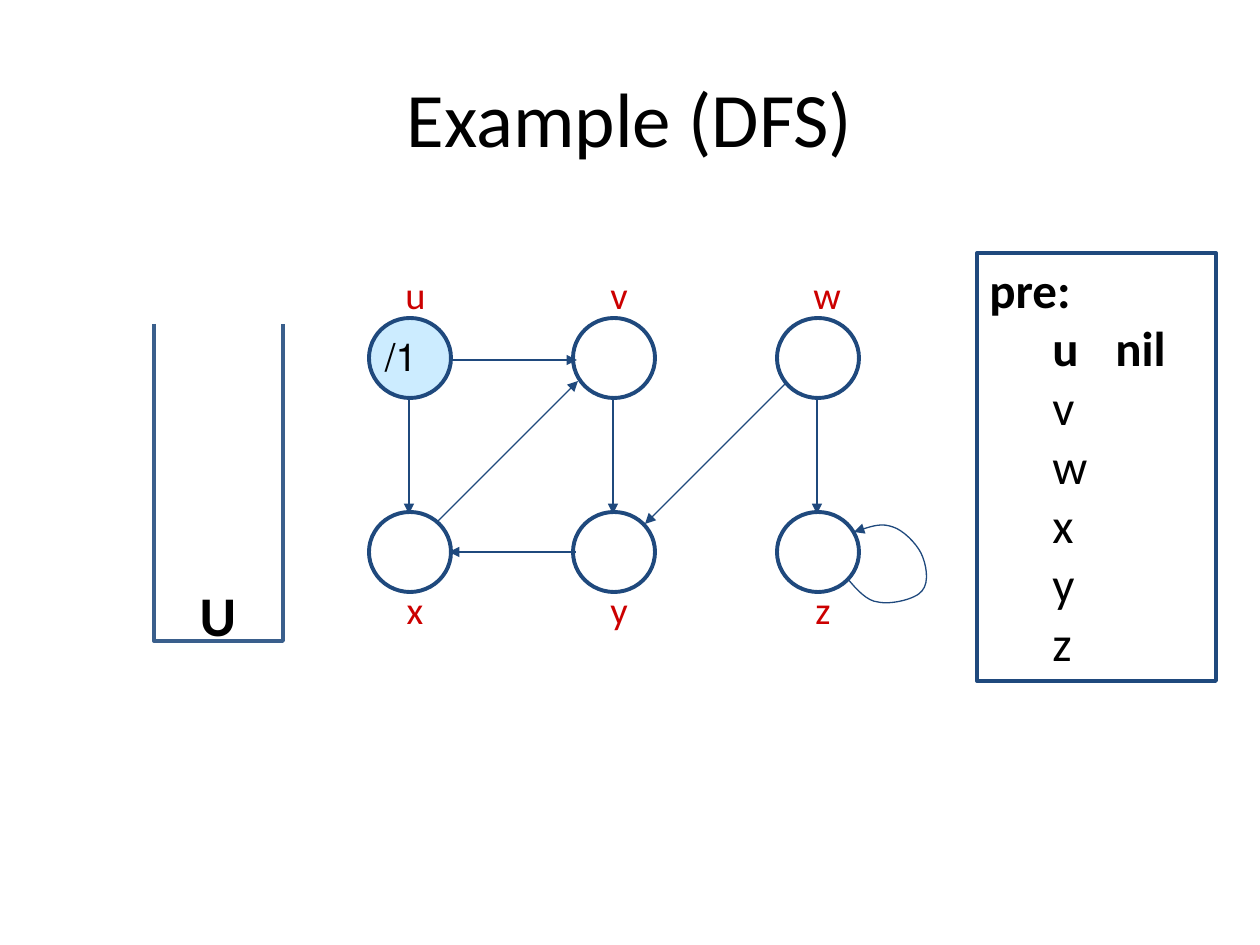
"""Build a depth-first search example slide with a graph, a stack and a predecessor list."""
from dataclasses import dataclass

from lxml import etree
from pptx import Presentation
from pptx.dml.color import RGBColor
from pptx.enum.shapes import MSO_CONNECTOR, MSO_SHAPE
from pptx.enum.text import MSO_ANCHOR, PP_ALIGN
from pptx.oxml.ns import qn
from pptx.util import Emu, Inches, Pt

PX = 7257
OVAL, RECTANGLE = MSO_SHAPE.OVAL, MSO_SHAPE.RECTANGLE
STRAIGHT = MSO_CONNECTOR.STRAIGHT
LEFT, CENTER = PP_ALIGN.LEFT, PP_ALIGN.CENTER
TOP, MIDDLE = MSO_ANCHOR.TOP, MSO_ANCHOR.MIDDLE

NODE_WIDTH, NODE_HEIGHT = 82, 80
COLUMN_CENTERS = [410 + 204 * column for column in range(3)]
ROW_CENTERS = [358, 552]
NODE_ROWS = ["uvw", "xyz"]
LABEL_SHIFTS = [-64, 57]
SLANT_EDGES = [((437, 522), (578, 381)), ((786, 383), (645, 524))]
STACK_POINTS = [(154, 324), (154, 641), (283, 641), (283, 324)]
LOOP_POINTS = [
    (847, 578), (857, 590), (867, 601), (878, 602),
    (891, 605), (916, 599), (922, 591),
    (930, 582), (926, 563), (921, 553),
    (916, 543), (903, 530), (893, 527),
    (882, 523), (868, 527), (854, 532),
]


@dataclass(frozen=True)
class Theme:
    """Colours, type sizes and line widths of the slide."""
    font: str = "Calibri"
    ink: str = "000000"
    label: str = "CC0000"
    outline: str = "1F497D"
    stack: str = "3A5F8C"
    visited: str = "CCECFF"
    title_size: int = 44
    stack_size: int = 32
    list_size: int = 28
    label_size: int = 22
    thick: float = 2.25
    thin: float = 0.75


THEME = Theme()


def px(length):
    """Turn whole pixels into EMU."""
    return Emu(length * PX)


def write(frame, text, size, color=THEME.ink, bold=False, align=CENTER, rtl=False, new=False):
    """Write one formatted paragraph and return it."""
    para = frame.add_paragraph() if new else frame.paragraphs[0]
    para.alignment = align
    if rtl:
        para._p.get_or_add_pPr().set("rtl", "1")
    span = para.add_run()
    span.text = text
    span.font.name = THEME.font
    span.font.size = Pt(size)
    span.font.bold = bold
    span.font.color.rgb = RGBColor.from_string(color)
    return para


def add_text(page, text, center, extent, size, wrap=False, **style):
    """Add a text box centred on a point."""
    (x, y), (width, height) = center, extent
    box = page.shapes.add_textbox(px(x - width // 2), px(y - height // 2), px(width), px(height))
    box.text_frame.word_wrap = wrap
    box.text_frame.vertical_anchor = MIDDLE
    write(box.text_frame, text, size, **style)


def set_line(shape, color, width):
    """Set the line colour and width of a shape."""
    shape.line.color.rgb = RGBColor.from_string(color)
    shape.line.width = Pt(width)


def add_arrowhead(shape):
    """Put a triangle at the end of a line."""
    etree.SubElement(shape.line._get_or_add_ln(), qn("a:tailEnd"), type="triangle")


def add_outline(page, kind, left, top, width, height, fill=None):
    """Add an outlined preset shape."""
    shape = page.shapes.add_shape(kind, px(left), px(top), px(width), px(height))
    shape.shadow.inherit = False
    if fill:
        shape.fill.solid()
        shape.fill.fore_color.rgb = RGBColor.from_string(fill)
    else:
        shape.fill.background()
    set_line(shape, THEME.outline, THEME.thick)
    return shape


def add_edge(page, start, end):
    """Add a straight arrow between two points."""
    edge = page.shapes.add_connector(STRAIGHT, *map(px, start + end))
    set_line(edge, THEME.outline, THEME.thin)
    add_arrowhead(edge)
    etree.SubElement(edge._element.spPr, qn("a:effectLst"))


def add_open_path(page, points, color, width):
    """Add an unfilled open outline through the points."""
    builder = page.shapes.build_freeform(*points[0], scale=PX)
    builder.add_line_segments(points[1:], close=False)
    shape = builder.convert_to_shape()
    shape.shadow.inherit = False
    shape.fill.background()
    set_line(shape, color, width)
    return shape


def add_loop(page):
    """Add the curved arrow from z to itself."""
    loop = add_open_path(page, LOOP_POINTS, THEME.outline, THEME.thin)
    segments = list(loop._element.iter(qn("a:lnTo")))
    for first in range(0, len(segments), 3):
        curve = etree.Element(qn("a:cubicBezTo"))
        segments[first].addprevious(curve)
        for segment in segments[first:first + 3]:
            curve.append(segment[0])
            segment.getparent().remove(segment)
    add_arrowhead(loop)


def add_nodes(page):
    """Add the circles of the graph with their names."""
    for names, y, shift in zip(NODE_ROWS, ROW_CENTERS, LABEL_SHIFTS):
        for name, x in zip(names, COLUMN_CENTERS):
            fill = THEME.visited if name == "u" else None
            add_outline(page, OVAL, x - NODE_WIDTH // 2, y - NODE_HEIGHT // 2,
                        NODE_WIDTH, NODE_HEIGHT, fill)
            add_text(page, name, (x + 5, y + shift), (44, 60), THEME.label_size,
                     color=THEME.label)
    add_text(page, "1/", (401, 356), (62, 60), THEME.label_size, rtl=True)


def add_edges(page):
    """Add the arrows of the graph."""
    upper, lower = ROW_CENTERS
    left, middle, _ = COLUMN_CENTERS
    for x in COLUMN_CENTERS:
        add_edge(page, (x - 1, upper + 40), (x - 1, lower - 38))
    add_edge(page, (left + 40, upper + 2), (middle - 37, upper + 2))
    add_edge(page, (middle - 38, lower), (left + 39, lower))
    for start, end in SLANT_EDGES:
        add_edge(page, start, end)
    add_loop(page)


def add_stack(page):
    """Add the open stack holding U."""
    add_open_path(page, STACK_POINTS, THEME.stack, THEME.thick)
    add_text(page, "U", (218, 614), (128, 68), THEME.stack_size, bold=True)


def add_predecessors(page):
    """Add the list of predecessors."""
    frame = add_outline(page, RECTANGLE, 977, 253, 239, 428).text_frame
    frame.word_wrap = True
    frame.vertical_anchor = TOP
    write(frame, "pre:", THEME.list_size, bold=True, align=LEFT)
    for name in "".join(NODE_ROWS):
        visited = name == "u"
        para = write(frame, "u\tnil" if visited else name, THEME.list_size,
                     bold=visited, align=LEFT, new=True)
        para.level = 1
        properties = para._p.get_or_add_pPr()
        properties.set("marL", str(Inches(0.5)))
        properties.set("indent", "0")
        if visited:
            tabs = etree.SubElement(properties, qn("a:tabLst"))
            etree.SubElement(tabs, qn("a:tab"), pos=str(Inches(1.17)), algn="l")


def main():
    """Build and save the deck."""
    deck = Presentation()
    deck.slide_width, deck.slide_height = Inches(10), Inches(7.5)
    page = deck.slides.add_slide(deck.slide_layouts[6])
    add_text(page, "Example (DFS)", (630, 117), (1134, 158), THEME.title_size, wrap=True)
    add_nodes(page)
    add_edges(page)
    add_stack(page)
    add_predecessors(page)
    deck.save("out.pptx")


if __name__ == "__main__":
    main()
